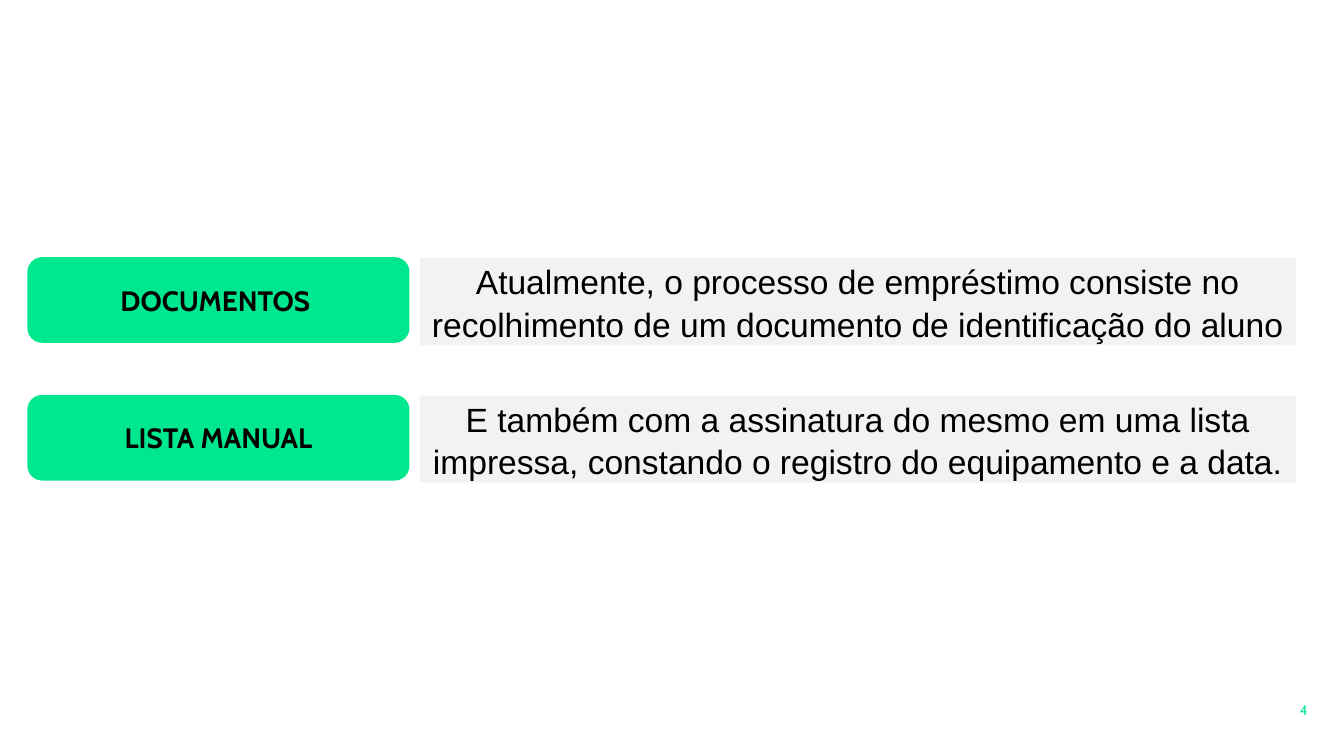
"""Build the slide that describes the current loan process."""
from pptx import Presentation
from pptx.dml.color import RGBColor
from pptx.enum.shapes import MSO_SHAPE as Preset
from pptx.enum.text import MSO_ANCHOR as Anchor, MSO_AUTO_SIZE as AutoSize, PP_ALIGN as Align
from pptx.util import Cm, Pt

COLORS = {
    "green": "00E88F",
    "outline": "00E889",
    "panel": "F2F2F2",
    "ink": "000000",
}
STEPS = [
    ("DOCUMENTOS ", "Atualmente, o processo de empréstimo consiste no "
     "recolhimento de um documento de identificação do aluno"),
    ("LISTA MANUAL", "E também com a assinatura do mesmo em uma lista "
     "impressa, constando o registro do equipamento e a data."),
]
FIRST_TOP, STEP_PITCH = 13, 6.94


def color(name):
    return RGBColor.from_string(COLORS[name])


def set_margins(frame, margin):
    frame.margin_left = frame.margin_right = margin
    frame.margin_top = frame.margin_bottom = margin


def write(frame, text, font_name, size, ink, bold=False):
    frame.text = text
    paragraph = frame.paragraphs[0]
    paragraph.alignment = Align.CENTER
    font = paragraph.runs[0].font
    font.name, font.size, font.bold = font_name, Pt(size), bold
    font.color.rgb = color(ink)
    return paragraph


def add_block(slide, preset, left, top, width, height, fill):
    block = slide.shapes.add_shape(preset, Cm(left), Cm(top), Cm(width), Cm(height))
    block.shadow.inherit = False
    block.fill.solid()
    block.fill.fore_color.rgb = color(fill)
    block.line.fill.background()
    block.text_frame.word_wrap = True
    block.text_frame.vertical_anchor = Anchor.MIDDLE
    return block


def add_label(slide, top, text):
    label = add_block(slide, Preset.ROUNDED_RECTANGLE, 1.42, top, 19.18, 4.24, "green")
    label.line.color.rgb = color("outline")
    label.line.width = Pt(2.25)
    write(label.text_frame, text, "Cabin", 40, "ink", bold=True)


def add_description(slide, top, text):
    description = add_block(slide, Preset.RECTANGLE, 21.16, top, 44.15, 4.39, "panel")
    set_margins(description.text_frame, Cm(0.15))
    description.text_frame.auto_size = AutoSize.SHAPE_TO_FIT_TEXT
    write(description.text_frame, text, "Arial", 48, "ink").line_spacing = 1.05


def add_page_number(slide, number):
    page_number = slide.shapes.add_textbox(Cm(65.3), Cm(35.43), Cm(0.84), Cm(0.84))
    frame = page_number.text_frame
    set_margins(frame, 0)
    frame.word_wrap = False
    frame.auto_size = AutoSize.SHAPE_TO_FIT_TEXT
    paragraph = write(frame, number, "Cabin", 20, "green")
    paragraph.line_spacing = Pt(22)
    paragraph.runs[0].font._element.set("spc", "100")


def main():
    deck = Presentation()
    deck.slide_width, deck.slide_height = Cm(67.74), Cm(38.1)
    slide = deck.slides.add_slide(deck.slide_layouts[6])
    add_page_number(slide, "4")
    for index, (label, description) in enumerate(STEPS):
        top = FIRST_TOP + index * STEP_PITCH
        add_label(slide, top, label)
        add_description(slide, top, description)
    deck.save("out.pptx")


if __name__ == "__main__":
    main()
